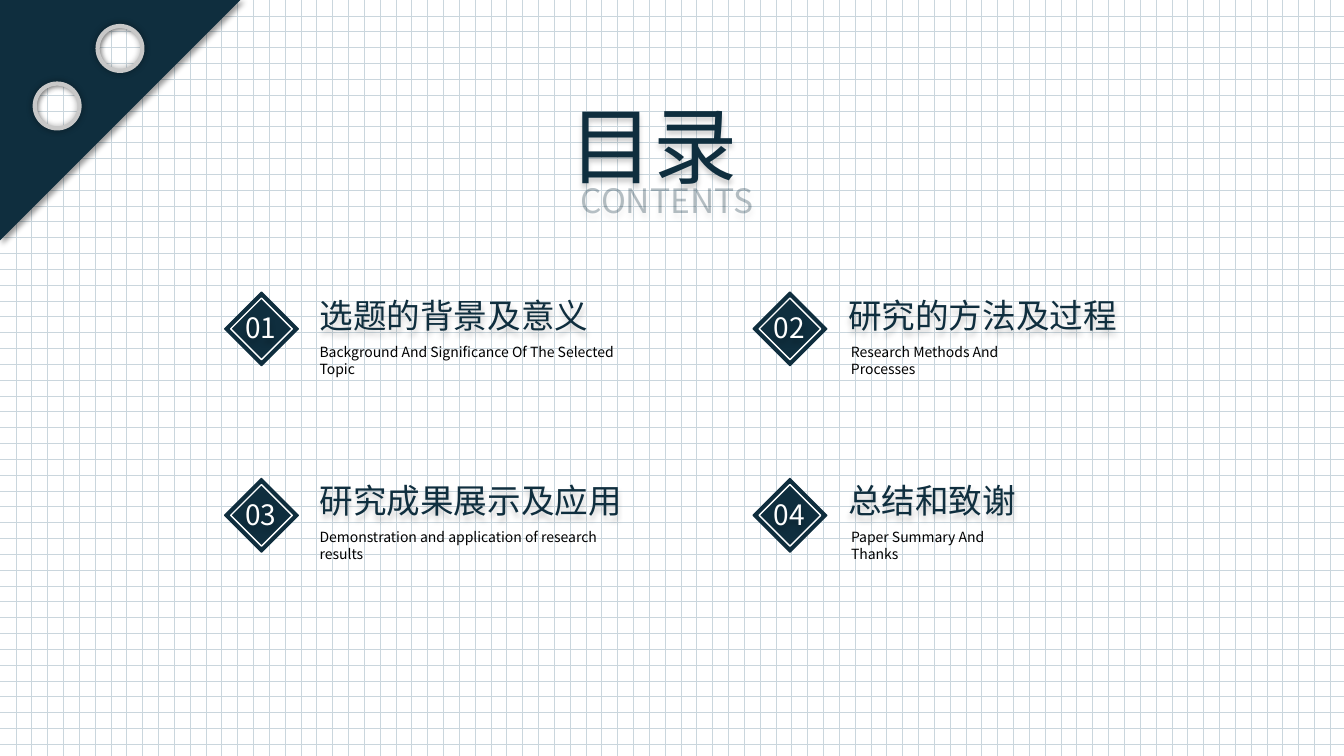
import itertools
from dataclasses import dataclass

import pptx
import pptx.dml.color
import pptx.enum.dml
import pptx.enum.shapes
import pptx.enum.text
import pptx.oxml
import pptx.oxml.ns
import pptx.util

Pt = pptx.util.Pt
SHAPE = pptx.enum.shapes.MSO_SHAPE
ALIGN = pptx.enum.text.PP_ALIGN
qn = pptx.oxml.ns.qn
A_NS = pptx.oxml.ns.nsdecls("a")


@dataclass(frozen=True)
class Theme:
    font: str = "Noto Sans CJK SC"
    navy: str = "0F2E3E"
    grid: str = "1B516D"
    white: str = "FFFFFF"
    black: str = "000000"
    ring: str = "C8C8C8"
    title: float = 60
    subtitle: float = 24
    heading: float = 24
    number: float = 20
    caption: float = 10


@dataclass(frozen=True)
class Shadow:
    blur: float
    distance: float
    angle: int
    opacity: int = 40


@dataclass(frozen=True)
class Box:
    left: float
    top: float
    width: float
    height: float

    def emu(self) -> tuple:
        return Pt(self.left), Pt(self.top), Pt(self.width), Pt(self.height)


@dataclass(frozen=True)
class Topic:
    heading: str
    caption: str
    heading_width: float
    caption_width: float


THEME = Theme()
TEXT_SHADOW = Shadow(4, 3, 90, opacity=20)
CORNER_SHADOW = Shadow(4, 3, 45)
RING_SHADOW = Shadow(5, 0, 0)

SLIDE = Box(0, 0, 960, 540)
CORNER_START, CORNER_SIDE = -0.7, 173.1
HOLE_RADIUS = 16
HOLES = [(40.8, 75.7), (85.7, 34.6)]
CURVE_FACTOR = 0.5523

TOPICS = [
    Topic("选题的背景及意义", "Background And Significance Of The Selected Topic", 217.5, 247),
    Topic("研究的方法及过程", "Research Methods And Processes", 217.5, 164),
    Topic("研究成果展示及应用", "Demonstration and application of research results", 232, 240),
    Topic("总结和致谢", "Paper Summary And Thanks", 217.5, 142),
]
COLUMNS = 2
FIRST_LEFT, COLUMN_PITCH = 160.5, 377.5
MARKER_TOP, MARKER_PITCH = 208.6, 133.2
HEADING_TOP, CAPTION_TOP, TEXT_PITCH = 207.1, 241.8, 132.2
HEADING_INDENT = 60.7
CAPTION_INDENTS = [60.7, 62.8]


def rgb(color: str) -> pptx.dml.color.RGBColor:
    return pptx.dml.color.RGBColor.from_string(color)


def set_opacity(fill, percent: int) -> None:
    """Make a solid fill see-through."""
    color = fill._xPr.find(".//" + qn("a:srgbClr"))
    color.append(color.makeelement(qn("a:alpha"), {"val": str(percent * 1000)}))


def set_shadow(sp, shadow: Shadow | None) -> None:
    sp.shadow.inherit = False
    if shadow is None:
        return
    sp._element.spPr.find(qn("a:effectLst")).append(pptx.oxml.parse_xml(
        f'<a:outerShdw {A_NS} blurRad="{Pt(shadow.blur)}" dist="{Pt(shadow.distance)}"'
        f' dir="{shadow.angle * 60000}" algn="tl" rotWithShape="0">'
        f'<a:srgbClr val="{THEME.black}"><a:alpha val="{shadow.opacity * 1000}"/></a:srgbClr>'
        '</a:outerShdw>'))


def style(sp, fill: str | None = None, line: str | None = None, weight: float = 1,
          shadow: Shadow | None = None) -> None:
    if fill:
        sp.fill.solid()
        sp.fill.fore_color.rgb = rgb(fill)
    else:
        sp.fill.background()
    if line:
        sp.line.color.rgb = rgb(line)
        sp.line.width = Pt(weight)
    else:
        sp.line.fill.background()
    set_shadow(sp, shadow)


def add_text(shapes, text: str, box: Box, *, size: float, color: str,
             align: ALIGN = ALIGN.LEFT, opacity: int = 100,
             shadow: Shadow | None = TEXT_SHADOW) -> None:
    sp = shapes.add_textbox(*box.emu())
    set_shadow(sp, shadow)
    tf = sp.text_frame
    tf.word_wrap = True
    tf.auto_size = pptx.enum.text.MSO_AUTO_SIZE.SHAPE_TO_FIT_TEXT
    p = tf.paragraphs[0]
    p.alignment = align
    p.line_spacing = Pt(1.2 * size)
    r = p.add_run()
    r.text = text
    r.font.size = Pt(size)
    r.font.name = THEME.font
    r._r.rPr.append(r._r.rPr.makeelement(qn("a:ea"), {"typeface": THEME.font}))
    r.font.fill.solid()
    r.font.fill.fore_color.rgb = rgb(color)
    if opacity < 100:
        set_opacity(r.font.fill, opacity)


def add_background(shapes) -> None:
    paper = shapes.add_shape(SHAPE.RECTANGLE, *SLIDE.emu())
    style(paper)
    paper.fill.patterned()
    paper.fill.pattern = pptx.enum.dml.MSO_PATTERN.DOTTED_GRID
    paper.fill.fore_color.rgb = rgb(THEME.grid)
    paper.fill.back_color.rgb = rgb(THEME.white)
    veil = shapes.add_shape(SHAPE.RECTANGLE, *SLIDE.emu())
    style(veil, fill=THEME.white)
    set_opacity(veil.fill, 77)


def cut_hole(sp, x: float, y: float, radius: float, units: int) -> None:
    """Add a circle of four curves to the outline of a freeform."""
    def point(dx: float, dy: float) -> str:
        return (f'<a:pt x="{round((x + dx * radius) * units)}"'
                f' y="{round((y + dy * radius) * units)}"/>')

    corners = [(1, 0), (0, -1), (-1, 0), (0, 1), (1, 0)]
    k = CURVE_FACTOR
    parts = [f'<a:moveTo>{point(*corners[0])}</a:moveTo>']
    for (ax, ay), (bx, by) in itertools.pairwise(corners):
        parts.append(f'<a:cubicBezTo>{point(ax + k * bx, ay + k * by)}'
                     f'{point(bx + k * ax, by + k * ay)}{point(bx, by)}</a:cubicBezTo>')
    circle = pptx.oxml.parse_xml(f'<a:path {A_NS}>{"".join(parts)}<a:close/></a:path>')
    outline = sp._element.spPr.find(".//" + qn("a:path"))
    for segment in list(circle):
        outline.append(segment)


def add_corner(shapes) -> None:
    """Draw the folder corner with its two ringed holes."""
    group = shapes.add_group_shape().shapes
    units = 100
    start, end = round(CORNER_START * units), round((CORNER_START + CORNER_SIDE) * units)
    builder = group.build_freeform(end, start, scale=Pt(1) / units)
    builder.add_line_segments([(start, end), (start, start)], close=True)
    corner = builder.convert_to_shape()
    style(corner, fill=THEME.navy, shadow=CORNER_SHADOW)
    for x, y in HOLES:
        cut_hole(corner, x - CORNER_START, y - CORNER_START, HOLE_RADIUS, units)
        box = Box(x - HOLE_RADIUS, y - HOLE_RADIUS, 2 * HOLE_RADIUS, 2 * HOLE_RADIUS)
        ring = group.add_shape(SHAPE.OVAL, *box.emu())
        style(ring, line=THEME.ring, weight=3, shadow=RING_SHADOW)


def add_marker(shapes, number: int, left: float, top: float) -> None:
    group = shapes.add_group_shape().shapes
    outer = group.add_shape(SHAPE.DIAMOND, *Box(left, top, 52.6, 52.6).emu())
    style(outer, fill=THEME.navy, line=THEME.navy)
    add_text(group, f"{number:02}", Box(left + 7.7, top + 9.9, 42, 32),
             size=THEME.number, color=THEME.white)
    inner = group.add_shape(SHAPE.DIAMOND, *Box(left + 4.3, top + 4.3, 44, 44).emu())
    style(inner, line=THEME.white)


def add_topic(shapes, index: int, topic: Topic) -> None:
    row, column = divmod(index, COLUMNS)
    left = FIRST_LEFT + column * COLUMN_PITCH
    add_marker(shapes, index + 1, left, MARKER_TOP + row * MARKER_PITCH)
    shift = row * TEXT_PITCH
    add_text(shapes, topic.heading,
             Box(left + HEADING_INDENT, HEADING_TOP + shift, topic.heading_width, 36),
             size=THEME.heading, color=THEME.navy)
    add_text(shapes, topic.caption,
             Box(left + CAPTION_INDENTS[column], CAPTION_TOP + shift, topic.caption_width, 19.4),
             size=THEME.caption, color=THEME.black, shadow=None)


def main() -> None:
    prs = pptx.Presentation()
    prs.slide_width, prs.slide_height = Pt(SLIDE.width), Pt(SLIDE.height)
    shapes = prs.slides.add_slide(prs.slide_layouts[6]).shapes
    add_background(shapes)
    add_corner(shapes)
    add_text(shapes, "目录", Box(399.6, 63, 160.6, 80), size=THEME.title,
             color=THEME.navy, align=ALIGN.JUSTIFY)
    add_text(shapes, "CONTENTS", Box(407.7, 125, 148.3, 36), size=THEME.subtitle,
             color=THEME.navy, align=ALIGN.JUSTIFY, opacity=30)
    for index, topic in enumerate(TOPICS):
        add_topic(shapes, index, topic)
    prs.save("out.pptx")


if __name__ == "__main__":
    main()
